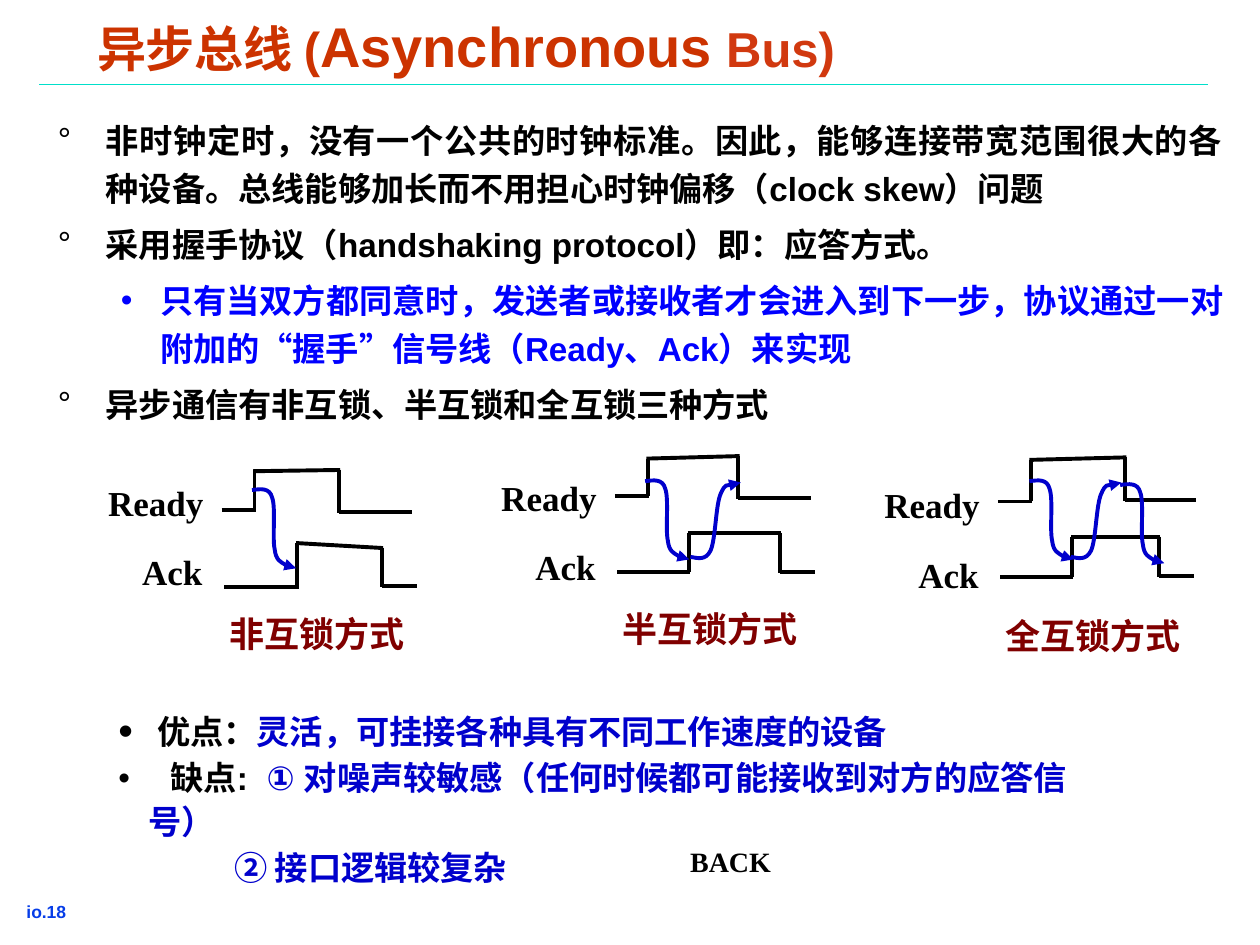
from lxml.etree import SubElement
from pptx import Presentation
from pptx.dml.color import RGBColor
from pptx.enum.shapes import MSO_CONNECTOR as CONN
from pptx.enum.text import MSO_ANCHOR as ANCHOR, MSO_AUTO_SIZE as AUTO, PP_ALIGN as ALIGN
from pptx.oxml.ns import qn
from pptx.util import Inches, Pt

BLACK = RGBColor(0x00, 0x00, 0x00)
BLUE = RGBColor(0x00, 0x00, 0xFF)
NAVY = RGBColor(0x00, 0x00, 0xCC)
MAROON = RGBColor(0x80, 0x00, 0x00)
RED = RGBColor(0xCC, 0x33, 0x00)
LIGHT_RED = RGBColor(0xD1, 0x39, 0x0F)
FOOTER_BLUE = RGBColor(0x06, 0x3D, 0xE8)
TEAL = RGBColor(0x00, 0xDF, 0xCA)
SANS, SERIF, CJK = "Arial", "Times New Roman", "Noto Sans CJK SC"

# Bezier points relative to the start of each handshake arrow
DOWN = [(0, 0), (0.07, -0.01), (0.14, -0.02), (0.16, 0.06), (0.19, 0.14),
        (0.16, 0.38), (0.18, 0.47), (0.19, 0.56), (0.23, 0.57), (0.26, 0.59),
        (0.29, 0.62), (0.32, 0.62), (0.35, 0.62)]
UP = [(0, 0), (0.06, 0.01), (0.12, 0.03), (0.16, -0.05), (0.2, -0.14),
      (0.2, -0.41), (0.24, -0.5), (0.28, -0.59), (0.37, -0.58), (0.4, -0.59)]

# Each wave: four x positions, low level left and right, high level left and right
PANELS = [
    dict(caption="非互锁方式", left=0.76, top=3.77, caption_top=4.81, caption_width=2.15,
         waves=[(1.76, 2.02, 2.69, 3.27, 4.05, 4.06, 3.74, 3.73),
                (1.78, 2.36, 3.03, 3.31, 4.66, 4.65, 4.31, 4.35)],
         arrows=[(DOWN, 2, 3.89)]),
    dict(caption="半互锁方式", left=3.88, top=3.73, caption_top=4.77, caption_width=2.15,
         waves=[(4.88, 5.14, 5.86, 6.44, 3.94, 3.95, 3.64, 3.62),
                (4.9, 5.47, 6.19, 6.47, 4.54, 4.54, 4.23, 4.23)],
         arrows=[(DOWN, 5.12, 3.82), (UP, 5.48, 4.42)]),
    dict(caption="全互锁方式", left=6.92, top=3.79, caption_top=4.83, caption_width=1.73,
         waves=[(7.92, 8.18, 8.93, 9.49, 3.98, 3.97, 3.65, 3.63),
                (7.94, 8.51, 9.2, 9.48, 4.58, 4.57, 4.26, 4.26)],
         arrows=[(DOWN, 8.17, 3.82), (UP, 8.5, 4.42), (DOWN, 8.89, 3.85)]),
]


def lines_to_beziers(sp):
    """Turn every three line segments of a freeform into one cubic curve."""
    segments = list(sp._element.iter(qn("a:lnTo")))
    outline = segments[0].getparent()
    for i in range(0, len(segments), 3):
        curve = SubElement(outline, qn("a:cubicBezTo"))
        for segment in segments[i:i + 3]:
            curve.append(segment[0])
            outline.remove(segment)


class SlideBuilder:
    def __init__(self, slide):
        self.s = slide
        self.line_width = Pt(2.25)

    def frame(self, sp, box, insets=(0.1, 0.05), anchor=ANCHOR.TOP):
        sp.left, sp.top, sp.width, sp.height = (Inches(v) for v in box)
        tf = sp.text_frame
        x, y = (Inches(v) for v in insets)
        formats = dict(word_wrap=True, auto_size=AUTO.NONE, vertical_anchor=anchor,
                       margin_left=x, margin_right=x, margin_top=y, margin_bottom=y)
        for name, value in formats.items():
            setattr(tf, name, value)
        return tf

    def paragraph(self, tf, runs, size, font=SANS, indent=None, bullet=None,
                  bullet_color=BLACK, bullet_size=100, **formats):
        """Add a paragraph; runs are (text, colour[, size[, letter spacing]])."""
        first = tf.paragraphs[0]
        p = tf.add_paragraph() if first.runs else first
        if p is first:
            formats["space_before"] = Pt(0)
        for name, value in formats.items():
            setattr(p, name, value)
        pPr = p._p.get_or_add_pPr()
        if indent:
            for name, value in zip(("marL", "indent"), indent):
                pPr.set(name, str(Inches(value)))
        if bullet:
            clr = SubElement(pPr, qn("a:buClr"))
            SubElement(clr, qn("a:srgbClr"), val=str(bullet_color))
            SubElement(pPr, qn("a:buSzPct"), val=str(bullet_size * 1000))
            SubElement(pPr, qn("a:buFont"), typeface=SANS)
            SubElement(pPr, qn("a:buChar"), char=bullet)
        for text, color, *extra in runs:
            own_size, letter_spacing = (extra + [size, 0][len(extra):])
            r = p.add_run()
            r.text = text
            for name, value in dict(size=Pt(own_size), name=font, bold=True).items():
                setattr(r.font, name, value)
            r.font.color.rgb = color
            rPr = r._r.get_or_add_rPr()
            rPr.set("lang", "zh-CN")
            if letter_spacing:
                rPr.set("spc", str(round(letter_spacing * 100)))
            SubElement(rPr, qn("a:ea"), typeface=CJK)

    def text_box(self, box, **kw):
        return self.frame(self.s.shapes.add_textbox(0, 0, 0, 0), box, **kw)

    def label(self, text, box, size, font=SERIF, color=BLACK):
        self.paragraph(self.text_box(box), [(text, color)], size, font)

    def line(self, x1, y1, x2, y2, color=BLACK, width=None):
        ln = self.s.shapes.add_connector(CONN.STRAIGHT, *(Inches(v) for v in (x1, y1, x2, y2)))
        ln.line.color.rgb = color
        ln.line.width = width or self.line_width
        SubElement(ln._element.spPr, qn("a:effectLst"))

    def wave(self, x0, x1, x2, x3, low_left, low_right, high_left, high_right):
        """Draw one pulse: low, rise, high, fall, low."""
        self.line(x0, low_left, x1 + 0.01, low_left)
        self.line(x1, high_left, x1, low_left)
        self.line(x1 - 0.01, high_left, x2 + 0.01, high_right)
        self.line(x2, high_right, x2, low_right + 0.01)
        self.line(x2, low_right, x3, low_right)

    def curved_arrow(self, pts, x, y):
        start, *rest = [(Inches(x + dx), Inches(y + dy)) for dx, dy in pts]
        fb = self.s.shapes.build_freeform(*start)
        fb.add_line_segments(rest, close=False)
        sp = fb.convert_to_shape()
        lines_to_beziers(sp)
        sp.shadow.inherit = False
        sp.fill.background()
        sp.line.color.rgb = NAVY
        sp.line.width = self.line_width
        SubElement(sp.line._get_or_add_ln(), qn("a:tailEnd"), type="triangle")

    def panel(self, caption, left, top, caption_top, caption_width, waves, arrows):
        for w in waves:
            self.wave(*w)
        self.label("Ready", (left, top, 1, 0.44), 20)
        self.label("Ack", (left + 0.27, top + 0.55, 0.76, 0.44), 20)
        self.label(caption, (left + 0.96, caption_top, caption_width, 0.44), 20, CJK, MAROON)
        for a in arrows:
            self.curved_arrow(*a)


def main():
    prs = Presentation()
    prs.slide_width, prs.slide_height = Inches(10), Inches(7.5)
    s = prs.slides.add_slide(prs.slide_layouts[1])
    b = SlideBuilder(s)

    tf = b.frame(s.shapes.title, (0.67, 0.06, 8.83, 0.67), anchor=ANCHOR.MIDDLE)
    b.paragraph(tf, [("异步总线 (", RED), ("Asynchronous", RED, 32), (" Bus)", LIGHT_RED)],
                28, alignment=ALIGN.LEFT, line_spacing=0.87)
    b.line(0.31, 0.67, 9.59, 0.67, TEAL, Pt(1))

    tf = b.frame(s.placeholders[1], (0.39, 0.86, 9.39, 2.53), insets=(0.07, 0.03))
    points = [
        (0, "非时钟定时，没有一个公共的时钟标准。因此，能够连接带宽范围很大的各种设备。"
            "总线能够加长而不用担心时钟偏移（clock skew）问题"),
        (0, "采用握手协议（handshaking protocol）即：应答方式。"),
        (1, "只有当双方都同意时，发送者或接收者才会进入到下一步，协议通过一对附加的"
            "“握手”信号线（Ready、Ack）来实现"),
        (0, "异步通信有非互锁、半互锁和全互锁三种方式"),
    ]
    levels = [("°", BLACK, (0.38, -0.38)), ("•", BLUE, (0.81, -0.31))]
    for level, text in points:
        bullet, color, indent = levels[level]
        b.paragraph(tf, [(text, color)], 19, indent=indent, bullet=bullet, bullet_color=color,
                    level=level, alignment=ALIGN.JUSTIFY, line_spacing=Pt(27.3),
                    space_before=Pt(4.8))

    for panel in PANELS:
        b.panel(**panel)

    tf = b.text_box((0.84, 5.57, 8.15, 1.52))
    spacing = dict(line_spacing=Pt(24.8), space_before=Pt(1.6))
    b.paragraph(tf, [("优点：", BLACK), ("灵活，可挂接各种具有不同工作速度的设备", NAVY)], 19,
                indent=(0.31, -0.31), bullet="•", bullet_size=126, **spacing)
    b.paragraph(tf, [(" ", BLACK, 19, 8.3), ("缺点:", BLACK), (" ", BLACK, 19, 5.3),
                     ("① 对噪声较敏感（任何时候都可能接收到对方的应答信号）", NAVY)], 19,
                indent=(0.24, -0.24), bullet="•", **spacing)
    b.paragraph(tf, [("② 接口逻辑较复杂", NAVY)], 19, indent=(0.92, 0), **spacing)

    b.label("BACK", (5.38, 6.65, 0.97, 0.37), 16)
    tf = b.text_box((0.14, 7.12, 1, 0.22), insets=(0.07, 0.03))
    b.paragraph(tf, [("io.18", FOOTER_BLUE)], 10)
    prs.save("out.pptx")


if __name__ == "__main__":
    main()
